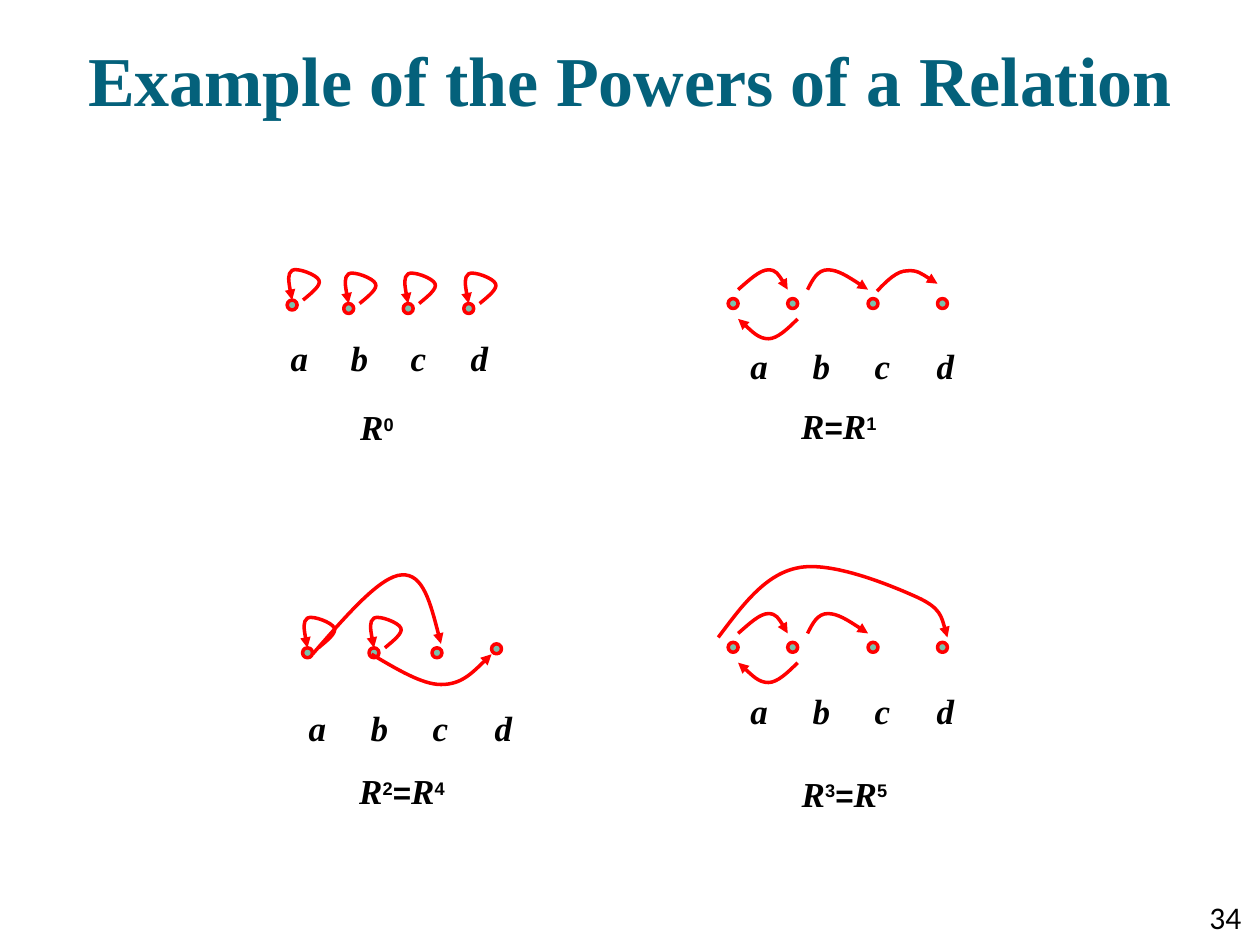
"""Build a slide showing the powers of a relation as four small directed graphs."""
from lxml import etree
from pptx import Presentation, util as u
from pptx.dml.color import RGBColor
from pptx.enum import shapes, text
from pptx.oxml.ns import qn

RED, GREEN, TEAL, BLACK = "FF0000", "7AC1AC", "04617B", "000000"
LETTER = {"name": "Times New Roman", "size": u.Pt(20), "bold": True, "italic": True}
SYMBOL = {"name": "Arial", "size": u.Pt(18), "bold": True, "italic": False}
HEADING = {"name": "Times New Roman", "size": u.Pt(40), "bold": True}
NUMBER = {"name": "Calibri", "size": u.Pt(18)}

deck = Presentation()
deck.slide_width, deck.slide_height = u.Cm(25.4), u.Cm(19.05)
slide = deck.slides.add_slide(deck.slide_layouts[6])


def write(place, runs, color=BLACK, centered=False, wrap=False):
    box = slide.shapes.add_textbox(*map(u.Cm, place))
    frame = box.text_frame
    frame.word_wrap = wrap
    paragraph = frame.paragraphs[0]
    paragraph.alignment = text.PP_ALIGN.CENTER if centered else text.PP_ALIGN.LEFT
    for words, style in runs:
        run = paragraph.add_run()
        run.text = words
        for attribute, value in style.items():
            setattr(run.font, attribute, value)
        run.font.color.rgb = RGBColor.from_string(color)
        if style is SYMBOL and words.isdigit():
            run.font._element.set("baseline", "30000")
    return frame


def draw_arrow(points, left, top):
    start, *rest = [(u.Cm(left + x), u.Cm(top + y)) for x, y in points]
    builder = slide.shapes.build_freeform(*start)
    builder.add_line_segments(rest, close=False)
    arrow = builder.convert_to_shape()
    arrow.shadow.inherit = False
    arrow.fill.background()
    arrow.line.color.rgb = RGBColor.from_string(RED)
    arrow.line.width = u.Pt(2)
    etree.SubElement(arrow.line._get_or_add_ln(), qn("a:tailEnd"), type="triangle")
    outline = arrow._element.find(".//" + qn("a:path"))
    segments = outline.findall(qn("a:lnTo"))
    for first in range(0, len(segments), 3):
        bezier = etree.SubElement(outline, qn("a:cubicBezTo"))
        for segment in segments[first:first + 3]:
            bezier.append(segment[0])
            outline.remove(segment)


loop = [(0.32, 0), (0.5, -0.15), (0.69, -0.3), (0.64, -0.4), (0.6, -0.51),
        (0.2, -0.66), (0.1, -0.6), (0, -0.53), (0.04, -0.27), (0.1, 0)]
a_to_b = [(14.88, -0.18), (15.11, -0.38), (15.32, -0.58), (15.49, -0.58),
          (15.65, -0.58), (15.77, -0.38), (15.88, -0.18)]
b_to_a = [(16.08, 0.41), (15.88, 0.61), (15.67, 0.81), (15.49, 0.81),
          (15.29, 0.81), (14.96, 0.48), (14.88, 0.41)]
b_to_c = [(16.28, -0.18), (16.38, -0.38), (16.48, -0.58), (16.69, -0.58),
          (16.89, -0.58), (17.2, -0.38), (17.5, -0.18)]
c_to_d = [(17.68, -0.15), (17.88, -0.36), (18.08, -0.56), (18.29, -0.56),
          (18.49, -0.58), (18.69, -0.43), (18.9, -0.3)]
a_to_d = [(14.48, -0.1), (14.96, -0.74), (15.42, -1.37), (16.08, -1.5), (16.76, -1.65),
          (17.98, -1.14), (18.49, -0.91), (18.97, -0.69), (19.02, -0.38), (19.1, -0.1)]
a_to_c = [(6.3, 0.13), (6.99, -0.66), (7.67, -1.45), (8.1, -1.47),
          (8.53, -1.5), (8.71, -0.79), (8.89, -0.08)]
b_to_d = [(7.49, 0.13), (8, 0.43), (8.51, 0.74), (8.89, 0.74),
          (9.3, 0.74), (9.6, 0.43), (9.91, 0.13)]

right_nodes = [(14.68, 0), (15.88, 0), (17.5, 0), (18.9, 0)]
shared_arcs = [a_to_b, b_to_a, b_to_c]
graphs = [
    {"top": 6.12, "nodes": [(5.79, -0.07), (6.93, 0), (8.13, 0), (9.35, 0)],
     "loops": 4, "arcs": [], "letters": (5.61, 6.65, 1.21),
     "caption": "R0", "place": (6.99, 8.05, 1.22, 1.12)},
    {"top": 6.02, "nodes": right_nodes,
     "loops": 0, "arcs": shared_arcs + [c_to_d], "letters": (14.88, 6.83, 1.25),
     "caption": "R=R1", "place": (15.88, 8.03, 2.06, 1.12)},
    {"top": 13.06, "nodes": [(6.1, 0), (7.44, 0), (8.71, 0), (9.91, -0.08)],
     "loops": 2, "arcs": [a_to_c, b_to_d], "letters": (5.97, 14.12, 1.25),
     "caption": "R2=R4", "place": (6.96, 15.39, 2.29, 1.12)},
    {"top": 12.95, "nodes": right_nodes,
     "loops": 0, "arcs": shared_arcs + [a_to_d], "letters": (14.88, 13.77, 1.25),
     "caption": "R3=R5", "place": (15.88, 15.44, 2.29, 1.12)},
]

title = write((1.27, 0.46, 22.86, 2.51), [("Example of the Powers of a Relation", HEADING)],
              TEAL, centered=True, wrap=True)
title.margin_top = u.Cm(0.28)
write((24.13, 17.98, 1.27, 1.02), [("34", NUMBER)], wrap=True)

for graph in graphs:
    for index, (left, shift) in enumerate(graph["nodes"]):
        top = graph["top"] + shift
        if index < graph["loops"]:
            draw_arrow(loop, left, top)
        node = slide.shapes.add_shape(shapes.MSO_SHAPE.OVAL, u.Cm(left), u.Cm(top),
                                      u.Cm(0.2), u.Cm(0.2))
        node.shadow.inherit = False
        node.fill.solid()
        node.fill.fore_color.rgb = RGBColor.from_string(GREEN)
        node.line.color.rgb = RGBColor.from_string(RED)
        node.line.width = u.Pt(2)
    for arc in graph["arcs"]:
        draw_arrow(arc, 0, graph["top"])
    first_left, letter_top, step = graph["letters"]
    for index, letter in enumerate("abcd"):
        write((first_left + index * step, letter_top, 0.86, 1.12), [(letter, LETTER)])
    symbols = [(mark, LETTER if mark == "R" else SYMBOL) for mark in graph["caption"]]
    write(graph["place"], symbols, centered=True)

deck.save("out.pptx")
